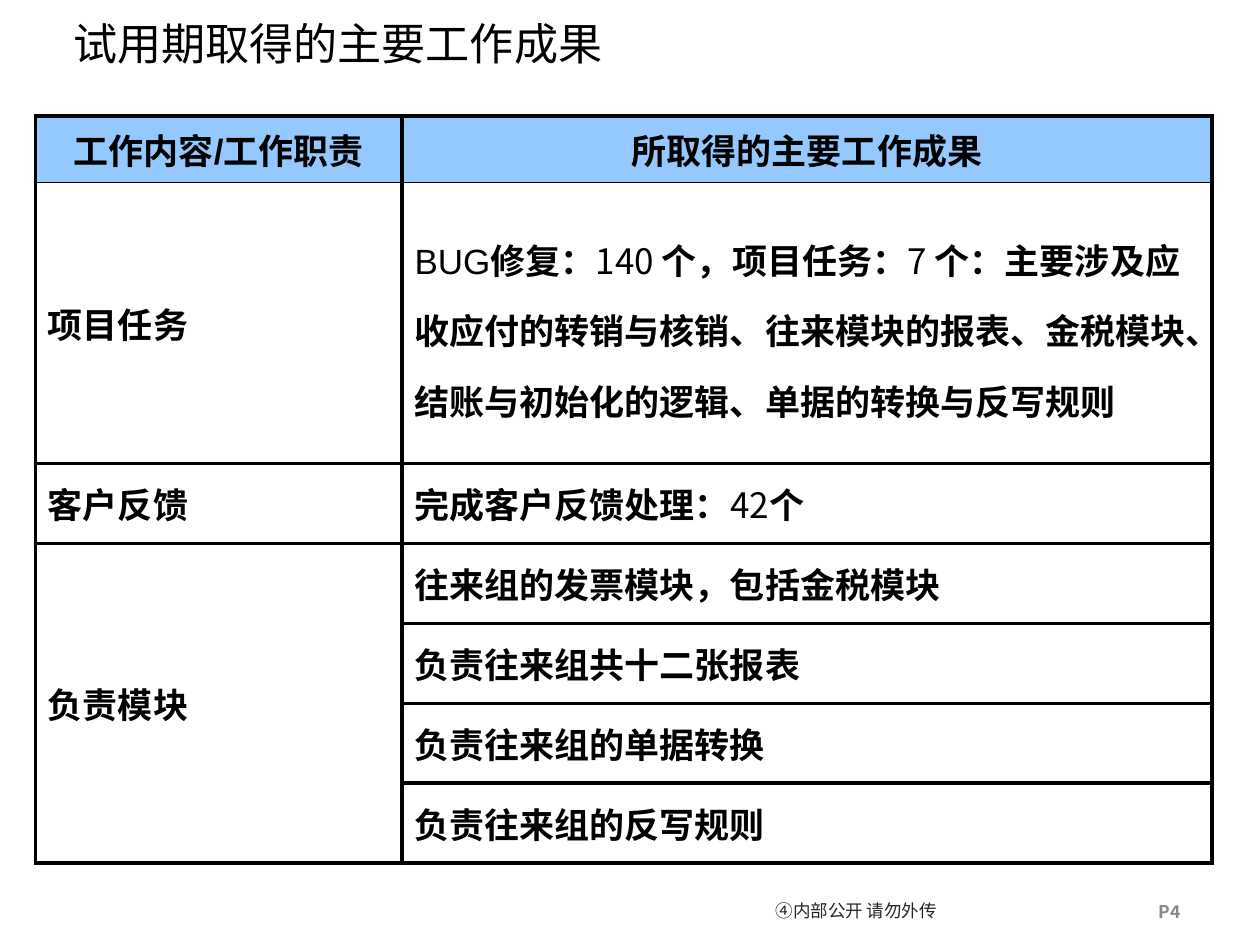
from lxml.etree import SubElement
from pptx import Presentation
from pptx.dml.color import RGBColor
from pptx.enum.text import MSO_ANCHOR, PP_ALIGN
from pptx.oxml.ns import qn
from pptx.util import Inches, Pt

CJK = "Noto Sans CJK SC"
LATIN = "Arial"
BLACK = "000000"
HEADER_FILL = "93C9FF"
THICK, THIN = 2.25, 1

COLUMN_WIDTHS = [2.91, 6.43]
ROW_HEIGHTS = [0.53, 2.23] + [3.17 / 5] * 5
HEADERS = ["工作内容/工作职责", "所取得的主要工作成果"]
DUTIES = {1: "项目任务", 2: "客户反馈", 3: "负责模块"}
RESULTS = [
    [
        [("BUG", LATIN, False), "修复：", ("140 ", CJK, False), "个，项目任务：",
         ("7 ", CJK, False), "个：主要涉及应"],
        ["收应付的转销与核销、往来模块的报表、金税模块、"],
        ["结账与初始化的逻辑、单据的转换与反写规则"],
    ],
    [["完成客户反馈处理：", ("42", CJK, False), "个"]],
    [["往来组的发票模块，包括金税模块"]],
    [["负责往来组共十二张报表"]],
    [["负责往来组的单据转换"]],
    [["负责往来组的反写规则"]],
]


def color(value):
    return RGBColor.from_string(value)


def write(frame, paragraphs, size=20, font=LATIN, fill=BLACK, bold=True,
          align=PP_ALIGN.LEFT, before=0, spacing=None):
    """Fill a text frame; a run is a string or a (text, font, bold) tuple."""
    for index, runs in enumerate(paragraphs):
        paragraph = frame.paragraphs[0] if index == 0 else frame.add_paragraph()
        paragraph.alignment = align
        paragraph.space_before = Pt(before)
        if spacing:
            paragraph.line_spacing = spacing
        for item in runs:
            text, face, weight = (item, font, bold) if isinstance(item, str) else item
            run = paragraph.add_run()
            run.text = text
            run.font.size = Pt(size)
            run.font.name = face
            run.font.bold = weight
            run.font.color.rgb = color(fill)
            SubElement(run.font._element, qn("a:ea")).set("typeface", CJK)


def add_text(slide, text, box, insets=(0.1, 0.05), anchor=MSO_ANCHOR.MIDDLE, **style):
    frame = slide.shapes.add_textbox(*map(Inches, box)).text_frame
    frame.word_wrap = True
    frame.vertical_anchor = anchor
    frame.margin_left = frame.margin_right = Inches(insets[0])
    frame.margin_top = frame.margin_bottom = Inches(insets[1])
    write(frame, [[text]], font=CJK, **style)


def set_borders(cell, top, bottom):
    properties = cell._tc.get_or_add_tcPr()
    sides = {"a:lnL": THICK, "a:lnR": THICK, "a:lnT": top, "a:lnB": bottom}
    for position, (tag, width) in enumerate(sides.items()):
        line = SubElement(properties, qn(tag), w=str(Pt(width)))
        solid = SubElement(line, qn("a:solidFill"))
        SubElement(solid, qn("a:srgbClr"), val=BLACK)
        properties.insert(position, line)


def add_results_table(slide):
    frame = slide.shapes.add_table(
        len(ROW_HEIGHTS), len(COLUMN_WIDTHS), Inches(0.28), Inches(0.92),
        Inches(sum(COLUMN_WIDTHS)), Inches(sum(ROW_HEIGHTS)))
    table = frame.table
    table.first_row = table.horz_banding = False
    for column, width in zip(table.columns, COLUMN_WIDTHS):
        column.width = Inches(width)
    for index, (row, height) in enumerate(zip(table.rows, ROW_HEIGHTS)):
        row.height = Inches(height)
        for cell in row.cells:
            cell.vertical_anchor = MSO_ANCHOR.MIDDLE
            if index == 0:
                cell.fill.solid()
                cell.fill.fore_color.rgb = color(HEADER_FILL)
            else:
                cell.fill.background()
            set_borders(cell, THIN if index == 1 else THICK, THIN if index == 0 else THICK)
    table.cell(3, 0).merge(table.cell(len(ROW_HEIGHTS) - 1, 0))

    for column, header in enumerate(HEADERS):
        write(table.cell(0, column).text_frame, [[header]], align=PP_ALIGN.CENTER, before=4)
    for row, duty in DUTIES.items():
        write(table.cell(row, 0).text_frame, [[duty]], before=4)
    for row, paragraphs in enumerate(RESULTS, start=1):
        write(table.cell(row, 1).text_frame, paragraphs, before=4,
              spacing=1.25 if len(paragraphs) > 1 else None)


def main():
    presentation = Presentation()
    presentation.slide_width, presentation.slide_height = Inches(10), Inches(7.5)
    slide = presentation.slides.add_slide(presentation.slide_layouts[6])
    add_text(slide, "④内部公开 请勿外传", (5.91, 7.03, 1.77, 0.36), insets=(0.08, 0.01),
             size=10, fill="262626", bold=False, align=PP_ALIGN.CENTER, spacing=Pt(14))
    add_text(slide, "P4", (9.1, 7.1, 0.9, 0.27), anchor=MSO_ANCHOR.TOP, size=10, fill="898989")
    add_text(slide, "试用期取得的主要工作成果", (0.43, 0, 7.32, 0.68), insets=(0.15, 0.15),
             size=25.2, bold=False)
    add_results_table(slide)
    presentation.save("out.pptx")


if __name__ == "__main__":
    main()
